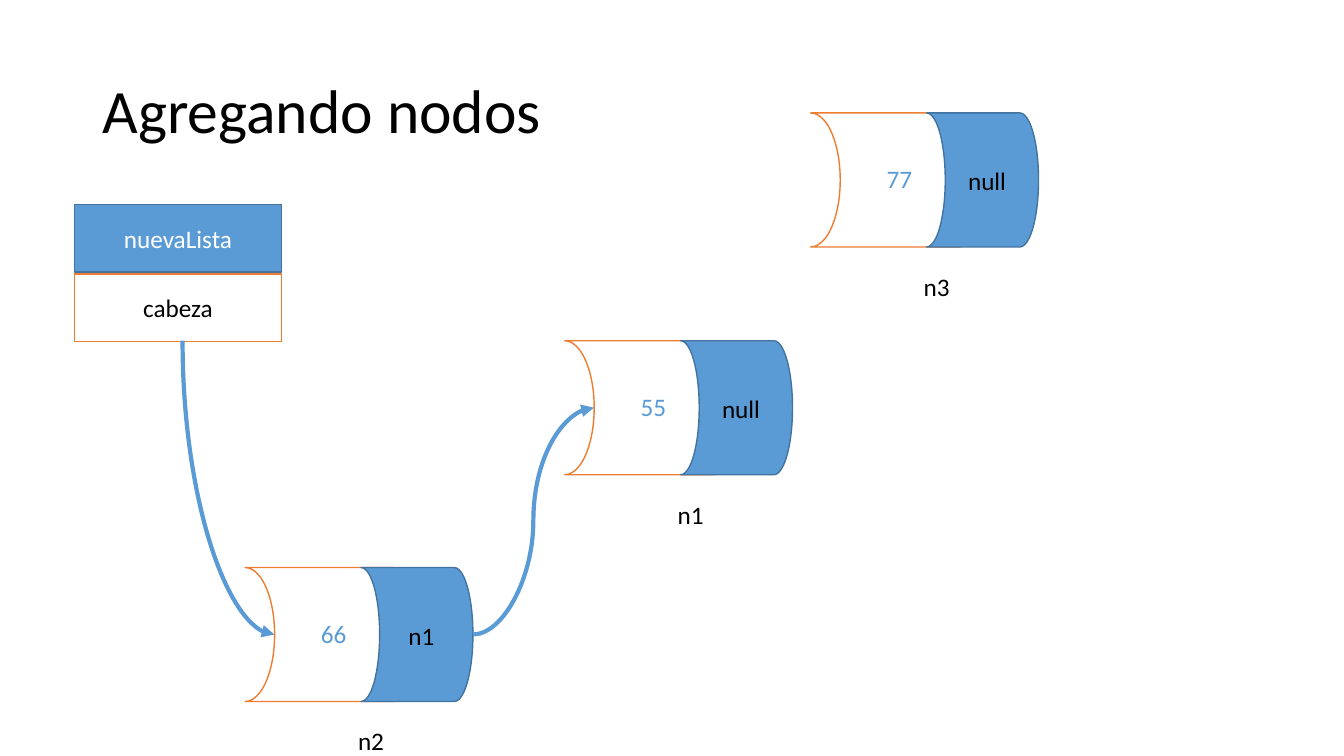
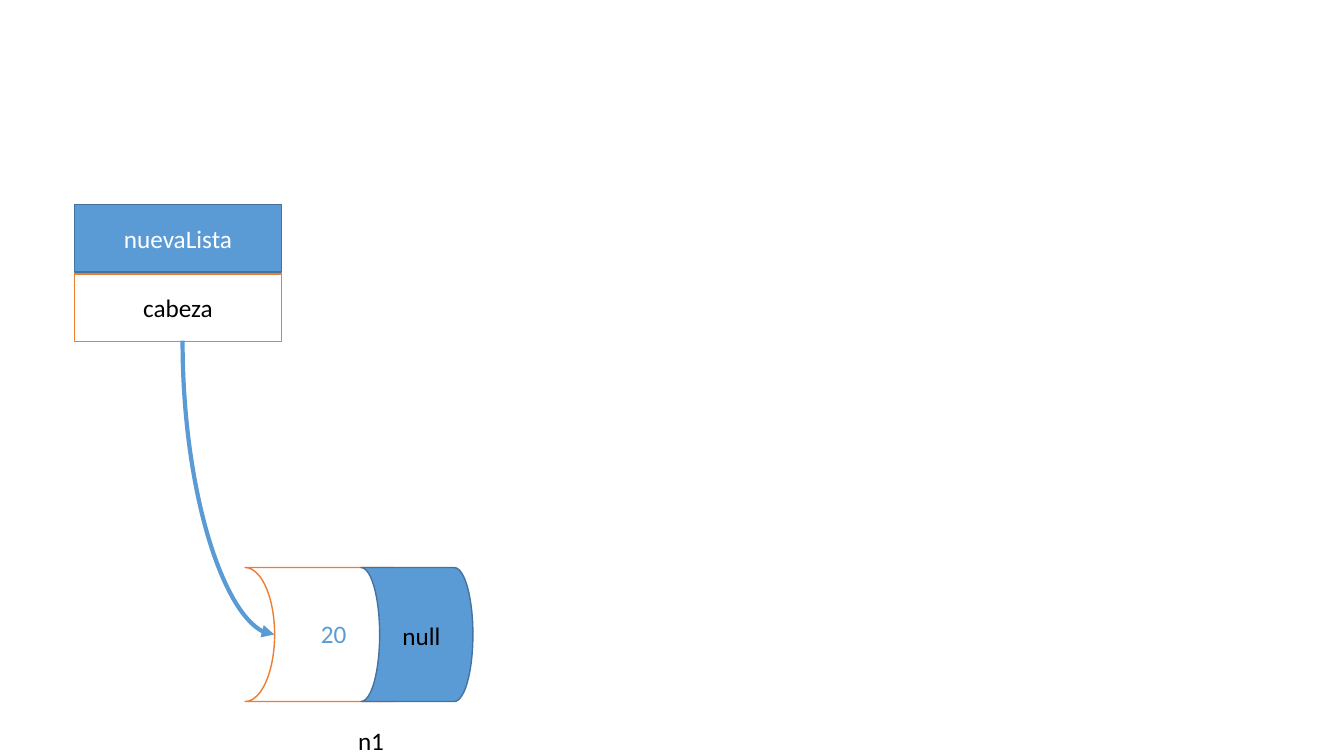
from pptx import Presentation
from pptx.dml.color import RGBColor
from pptx.enum.shapes import MSO_CONNECTOR, MSO_SHAPE
from pptx.enum.text import MSO_ANCHOR, PP_ALIGN
from pptx.oxml.ns import qn
from pptx.util import Inches, Pt
from lxml.etree import SubElement

# Shared colours and type
BLUE = RGBColor(0x5B, 0x9B, 0xD5)
DARK_BLUE = RGBColor(0x43, 0x73, 0x9E)
ORANGE = RGBColor(0xED, 0x7D, 0x31)
BLACK = RGBColor(0x00, 0x00, 0x00)
WHITE = RGBColor(0xFF, 0xFF, 0xFF)
FONT = "Calibri"

# Fill and outline of the two kinds of compartment
FILLED = (BLUE, DARK_BLUE)
OUTLINED = (WHITE, ORANGE)

# Node geometry, in inches
NODE_HEIGHT = 1.33
DATA_WIDTH = 1.76
LINK_LEFT, LINK_WIDTH = 1.15, 1.11
ENTRY_LEFT = 0.29

# List header geometry, in inches
LIST_LEFT, LIST_TOP, LIST_WIDTH = 0.74, 2.03, 2.05
ROW_HEIGHT, ROW_STEP = 0.67, 0.69
HEAD_START = (1.81, 3.38)

FIRST_NODE = (2.43, 5.63)


def set_attributes(target, values):
    for name, value in values.items():
        setattr(target, name, value)


def write_text(shape, text, color, size=18, wrap=True, **paragraph_format):
    frame = shape.text_frame
    set_attributes(frame, {"word_wrap": wrap, "vertical_anchor": MSO_ANCHOR.MIDDLE})
    paragraph = frame.paragraphs[0]
    set_attributes(paragraph, {"alignment": PP_ALIGN.CENTER, **paragraph_format})
    run = paragraph.add_run()
    run.text = text
    set_attributes(run.font, {"name": FONT, "size": Pt(size)})
    run.font.color.rgb = color


def add_title(slide, text):
    box = slide.shapes.add_textbox(Inches(0.92), Inches(0.4), Inches(11.5), Inches(1.45))
    write_text(box, text, BLACK, 44, alignment=PP_ALIGN.LEFT, line_spacing=0.9)


def add_label(slide, center, top, text, color=BLACK):
    width = 0.63
    box = slide.shapes.add_textbox(
        Inches(center - width / 2), Inches(top), Inches(width), Inches(0.4))
    write_text(box, text, color, wrap=False)


def add_compartment(slide, kind, left, top, width, height, style, rotation=0):
    fill, outline = style
    shape = slide.shapes.add_shape(
        kind, Inches(left), Inches(top), Inches(width), Inches(height))
    shape.rotation = rotation
    shape.shadow.inherit = False
    shape.fill.solid()
    shape.fill.fore_color.rgb = fill
    shape.line.color.rgb = outline
    shape.line.width = Pt(1)
    return shape


def add_list_header(slide):
    rows = [("nuevaLista", FILLED, WHITE), ("cabeza", OUTLINED, BLACK)]
    for index, (text, style, color) in enumerate(rows):
        row = add_compartment(slide, MSO_SHAPE.RECTANGLE, LIST_LEFT,
                              LIST_TOP + index * ROW_STEP, LIST_WIDTH, ROW_HEIGHT, style)
        write_text(row, text, color)


def add_node(slide, position, value, link, name):
    left, top = position
    parts = [(0, DATA_WIDTH, OUTLINED), (LINK_LEFT, LINK_WIDTH, FILLED)]
    for offset, width, style in parts:
        add_compartment(slide, MSO_SHAPE.FLOWCHART_STORED_DATA, left + offset, top,
                        width, NODE_HEIGHT, style, rotation=180)
    add_label(slide, left + 0.88, top + 0.45, value, BLUE)
    add_label(slide, left + 1.75, top + 0.47, link)
    add_label(slide, left + 1.25, top + 1.52, name)


def node_entry(position):
    return position[0] + ENTRY_LEFT, position[1] + NODE_HEIGHT / 2


def node_exit(position):
    return position[0] + LINK_LEFT + LINK_WIDTH, position[1] + NODE_HEIGHT / 2


def add_curve(slide, start, end):
    connector = slide.shapes.add_connector(
        MSO_CONNECTOR.CURVE, *(Inches(length) for length in (*start, *end)))
    connector.line.color.rgb = BLUE
    connector.line.width = Pt(3)
    properties = connector._element.spPr
    SubElement(properties.find(qn("a:ln")), qn("a:tailEnd"), type="triangle")
    SubElement(properties, qn("a:effectLst"))
    return connector


def add_head_curve(slide, start, end):
    # A quarter bend that leaves downwards: a flipped curve turned by 270 degrees
    center_x, center_y = (start[0] + end[0]) / 2, (start[1] + end[1]) / 2
    half_width, half_height = (end[0] - start[0]) / 2, (end[1] - start[1]) / 2
    connector = add_curve(slide, (center_x + half_height, center_y - half_width),
                          (center_x - half_height, center_y + half_width))
    properties = connector._element.spPr
    properties.find(qn("a:xfrm")).set("rot", str(270 * 60000))
    properties.find(qn("a:prstGeom")).set("prst", "curvedConnector2")


def add_linked_list(slide, value, link, name):
    add_list_header(slide)
    add_node(slide, FIRST_NODE, value, link, name)
    add_head_curve(slide, HEAD_START, node_entry(FIRST_NODE))


def main():
    presentation = Presentation()
    set_attributes(presentation, {"slide_width": Inches(13.33), "slide_height": Inches(7.5)})
    blank = presentation.slide_layouts[6]

    # Slide 1: two linked nodes and one still apart
    slide = presentation.slides.add_slide(blank)
    second_node, loose_node = (5.6, 3.38), (8.04, 1.12)
    add_title(slide, "Agregando nodos")
    add_node(slide, second_node, "55", "null", "n1")
    add_linked_list(slide, "66", "n1", "n2")
    add_curve(slide, node_exit(FIRST_NODE), node_entry(second_node))
    add_node(slide, loose_node, "77", "null", "n3")

    # Slide 2: a list with a single node
    slide = presentation.slides.add_slide(blank)
    add_linked_list(slide, "20", "null", "n1")

    presentation.save("out.pptx")


if __name__ == "__main__":
    main()
